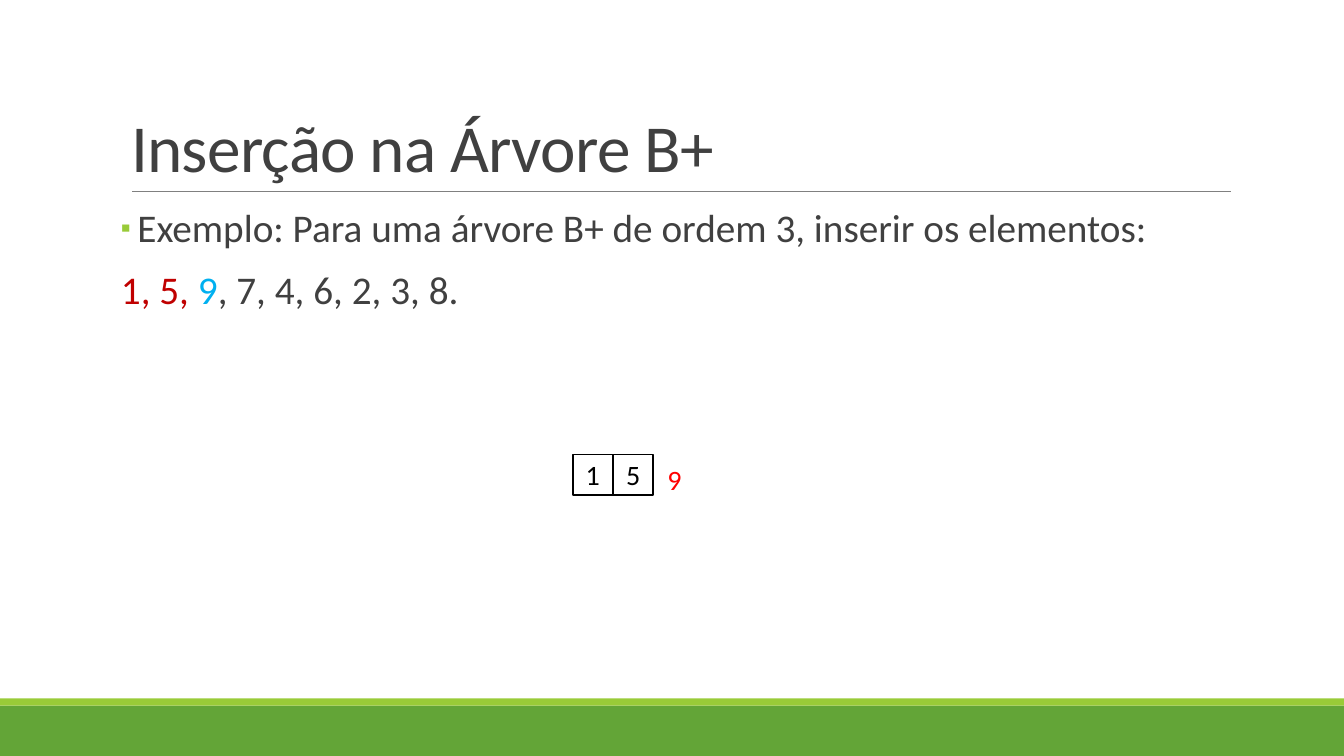
"""Build the slide on inserting into a B+ tree."""
from dataclasses import dataclass

from lxml import etree
from pptx import Presentation
from pptx.dml.color import RGBColor
from pptx.enum.shapes import MSO_CONNECTOR, MSO_SHAPE
from pptx.enum.text import MSO_ANCHOR, MSO_AUTO_SIZE, PP_ALIGN
from pptx.oxml.ns import qn
from pptx.util import Inches, Pt

RECT, STRAIGHT = MSO_SHAPE.RECTANGLE, MSO_CONNECTOR.STRAIGHT
LEFT, CENTER = PP_ALIGN.LEFT, PP_ALIGN.CENTER
TOP, MIDDLE, BOTTOM = MSO_ANCHOR.TOP, MSO_ANCHOR.MIDDLE, MSO_ANCHOR.BOTTOM
NO_FIT, GROW = MSO_AUTO_SIZE.NONE, MSO_AUTO_SIZE.SHAPE_TO_FIT_TEXT


@dataclass(frozen=True)
class Theme:
    font: str = "Calibri"
    text: str = "404040"
    inserted: str = "C00000"
    current: str = "00B0F0"
    overflow: str = "FF0000"
    ink: str = "000000"
    paper: str = "FFFFFF"
    rule: str = "808080"
    green: str = "63A537"
    lime: str = "99CB38"
    title_size: int = 48
    body_size: int = 28
    key_size: int = 20


THEME = Theme()
TITLE = "Inserção na Árvore B+"
EXAMPLE = "Exemplo: Para uma árvore B+ de ordem 3, inserir os elementos:"
SEQUENCE = [("1, 5, ", THEME.inserted), ("9", THEME.current),
            (", 7, 4, 6, 2, 3, 8.", THEME.text)]
NODE_KEYS = ["1", "5"]
OVERFLOW_KEY = "9"
BANDS = [(7, 0.5, THEME.green), (6.93, 0.07, THEME.lime)]
NODE_LEFT, NODE_TOP, CELL = 5.68, 4.51, 0.4


def rgb(color):
    return RGBColor.from_string(color)


def add_text(p, text, size=THEME.key_size, color=THEME.text, spacing=0, align=LEFT):
    p.alignment = align
    r = p.add_run()
    r.text = text
    r.font.name, r.font.size = THEME.font, Pt(size)
    r.font.color.rgb = rgb(color)
    if spacing:
        r._r.get_or_add_rPr().set("spc", str(round(spacing * 100)))


def add_rect(shapes, left, top, width, height, fill, line=None):
    sp = shapes.add_shape(RECT, *map(Inches, (left, top, width, height)))
    sp.shadow.inherit = False
    sp.fill.solid()
    sp.fill.fore_color.rgb = rgb(fill)
    if line:
        sp.line.color.rgb, sp.line.width = rgb(line), Pt(1.25)
    else:
        sp.line.fill.background()
    return sp


def place(sp, left, top, width, height, anchor):
    sp.left, sp.top, sp.width, sp.height = map(Inches, (left, top, width, height))
    tf = sp.text_frame
    tf.auto_size, tf.vertical_anchor = NO_FIT, anchor
    return tf


def format_body(p, bullet=None):
    p.line_spacing, p.space_before, p.space_after = 0.9, Pt(12), Pt(2)
    pPr = p._p.get_or_add_pPr()
    indent = Inches(0.1) if bullet else 0
    pPr.set("marL", str(indent))
    pPr.set("indent", str(-indent))
    if bullet:
        color = etree.SubElement(pPr, qn("a:buClr"))
        etree.SubElement(color, qn("a:srgbClr"), val=THEME.lime)
        etree.SubElement(pPr, qn("a:buFont"), typeface=THEME.font)
        etree.SubElement(pPr, qn("a:buChar"), char=bullet)
    else:
        etree.SubElement(pPr, qn("a:buNone"))


def add_heading(s):
    tf = place(s.shapes.title, 1.2, 0.31, 11, 1.59, BOTTOM)
    p = tf.paragraphs[0]
    p.line_spacing = 0.85
    add_text(p, TITLE, size=THEME.title_size, spacing=-0.5)
    rule = s.shapes.add_connector(STRAIGHT, *map(Inches, (1.31, 1.9, 12.21, 1.9)))
    rule.line.color.rgb, rule.line.width = rgb(THEME.rule), Pt(0.5)
    etree.SubElement(rule._element.spPr, qn("a:effectLst"))


def add_body(s):
    tf = place(s.placeholders[1], 1.2, 2.02, 11, 4.4, TOP)
    tf.margin_left = tf.margin_right = 0
    p = tf.paragraphs[0]
    format_body(p, bullet="▪")
    add_text(p, " ")
    add_text(p, EXAMPLE, size=THEME.body_size)
    p = tf.add_paragraph()
    format_body(p)
    for text, color in SEQUENCE:
        add_text(p, text, size=THEME.body_size, color=color)


def add_node(s):
    node = s.shapes.add_group_shape()
    for i, key in enumerate(NODE_KEYS):
        sp = add_rect(node.shapes, NODE_LEFT + i * CELL, NODE_TOP, CELL, CELL,
                      THEME.paper, THEME.ink)
        tf = sp.text_frame
        tf.vertical_anchor = MIDDLE
        add_text(tf.paragraphs[0], key, color=THEME.ink, spacing=-3, align=CENTER)
    sp = s.shapes.add_textbox(*map(Inches, (6.52, 4.54, 0.3, 0.44)))
    tf = sp.text_frame
    tf.word_wrap, tf.auto_size = False, GROW
    add_text(tf.paragraphs[0], OVERFLOW_KEY, color=THEME.overflow, spacing=-3)


def main():
    prs = Presentation()
    prs.slide_width, prs.slide_height = Inches(13.33), Inches(7.5)
    s = prs.slides.add_slide(prs.slide_layouts[1])
    for top, height, color in BANDS:
        add_rect(s.shapes, 0, top, 13.33, height, color)
    add_heading(s)
    add_body(s)
    add_node(s)
    prs.save("out.pptx")


if __name__ == "__main__":
    main()
